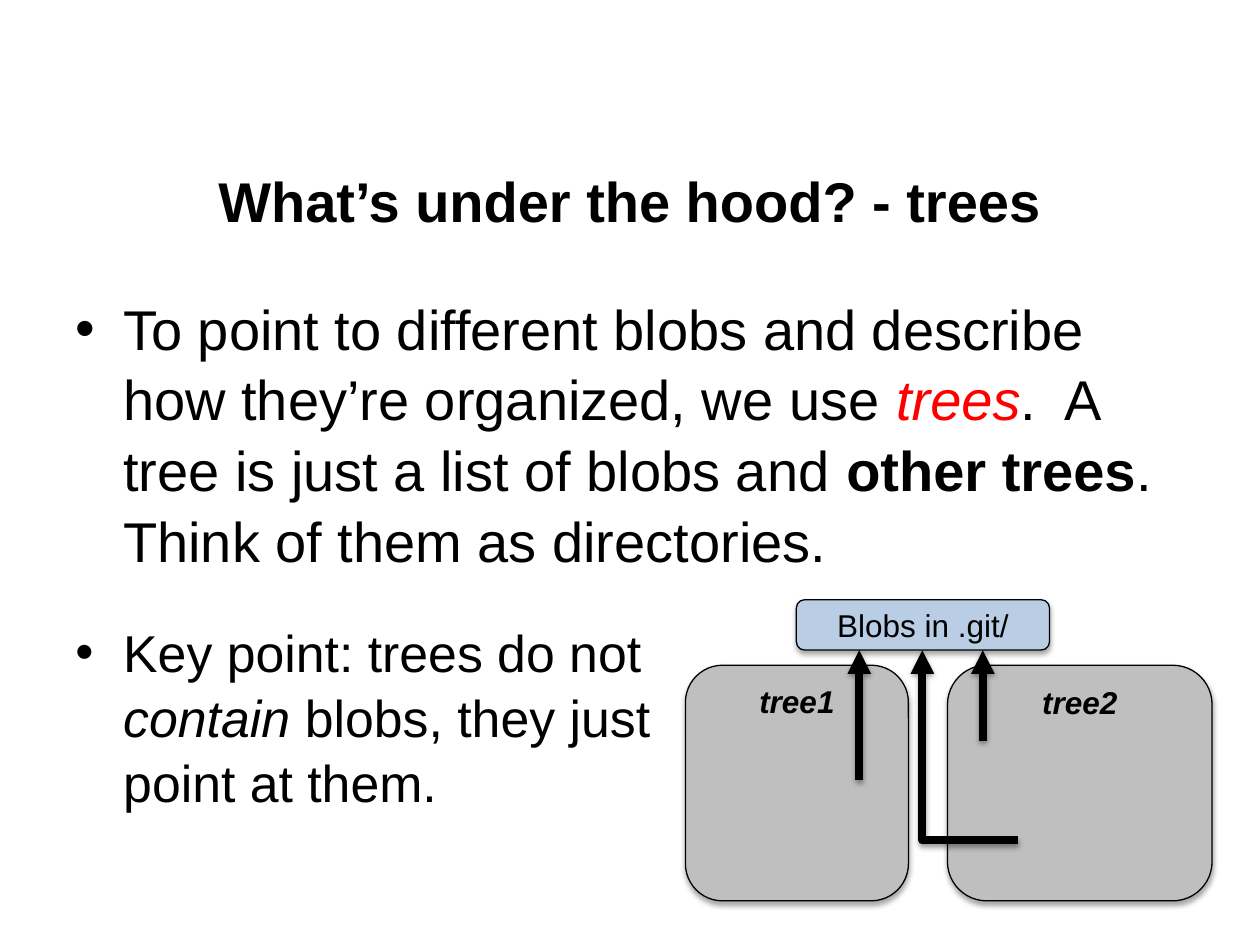
"""Build a slide on how git trees point at blobs."""
from dataclasses import dataclass

from lxml import etree
from pptx import Presentation
from pptx import util as u
from pptx.dml.color import RGBColor
from pptx.enum import shapes, text
from pptx.oxml.ns import qn


@dataclass(frozen=True)
class Theme:
    font: str = "Arial"
    ink: str = "000000"
    accent: str = "FF0000"
    tree_fill: str = "BFBFBF"
    store_fill: str = "B9CDE5"
    heading: float = 32
    key_point: float = 29.6
    label: float = 18
    outline: float = 0.75
    arrow: float = 4.5


class SlideBuilder:
    def __init__(self, slide, theme):
        self.slide = slide
        self.theme = theme

    def style(self, font, size, **flags):
        font.name = self.theme.font
        font.size = u.Pt(size)
        font.color.rgb = RGBColor.from_string(self.theme.ink)
        for flag, value in flags.items():
            setattr(font, flag, value)

    def shadow(self, item, opacity, distance):
        properties = item._element.spPr
        effects = etree.SubElement(properties, qn("a:effectLst"))
        outer = etree.SubElement(
            effects, qn("a:outerShdw"), blurRad=str(u.Pt(3.1)),
            dist=str(u.Pt(distance)), dir="5400000", rotWithShape="0")
        color = etree.SubElement(outer, qn("a:srgbClr"), val=self.theme.ink)
        etree.SubElement(color, qn("a:alpha"), val=str(opacity * 1000))

    def textbox(self, left, top, width, height):
        box = self.slide.shapes.add_textbox(*map(u.Inches, (left, top, width, height)))
        box.text_frame.word_wrap = True
        return box.text_frame

    def title(self, wording, *area):
        frame = self.textbox(*area)
        frame.vertical_anchor = text.MSO_ANCHOR.MIDDLE
        heading = frame.paragraphs[0]
        heading.text = wording
        heading.alignment = text.PP_ALIGN.CENTER
        self.style(heading.font, self.theme.heading, bold=True)

    def bullet(self, parts, size, *area):
        frame = self.textbox(*area)
        frame.margin_top = u.Inches(0.07)
        point = frame.paragraphs[0]
        point.line_spacing = 1.05
        indent = u.Inches(0.38)
        properties = point._p.get_or_add_pPr()
        properties.set("marL", str(indent))
        properties.set("indent", str(-indent))
        etree.SubElement(properties, qn("a:buFont"), typeface=self.theme.font)
        etree.SubElement(properties, qn("a:buChar"), char="•")
        self.style(point.font, size)
        for wording, flags, color in parts:
            run = point.add_run()
            run.text = wording
            self.style(run.font, size, **flags)
            run.font.color.rgb = RGBColor.from_string(color or self.theme.ink)

    def node(self, wording, fill, anchor, *area, **flags):
        box = self.slide.shapes.add_shape(
            shapes.MSO_SHAPE.ROUNDED_RECTANGLE, *map(u.Inches, area))
        box.fill.solid()
        box.fill.fore_color.rgb = RGBColor.from_string(fill)
        box.line.color.rgb = RGBColor.from_string(self.theme.ink)
        box.line.width = u.Pt(self.theme.outline)
        self.shadow(box, 35, 1.8)
        box.text_frame.vertical_anchor = anchor
        label = box.text_frame.paragraphs[0]
        label.text = wording
        label.alignment = text.PP_ALIGN.CENTER
        self.style(label.font, self.theme.label, **flags)

    def finish_arrow(self, arrow):
        arrow.line.color.rgb = RGBColor.from_string(self.theme.ink)
        arrow.line.width = u.Pt(self.theme.arrow)
        outline = arrow._element.spPr.find(qn("a:ln"))
        etree.SubElement(outline, qn("a:tailEnd"), type="triangle")
        self.shadow(arrow, 38, 1.6)

    def arrow(self, x, start, end):
        self.finish_arrow(self.slide.shapes.add_connector(
            shapes.MSO_CONNECTOR.STRAIGHT, *map(u.Inches, (x, start, x, end))))

    def corner_arrow(self, left, top, right, bottom):
        arrow = self.slide.shapes.add_connector(
            shapes.MSO_CONNECTOR.ELBOW, *map(u.Inches, (left, top, right, bottom)))
        properties = arrow._element.spPr
        properties.find(qn("a:prstGeom")).set("prst", "bentConnector2")
        properties.find(qn("a:xfrm")).set("rot", "10800000")
        self.finish_arrow(arrow)


def main():
    deck = Presentation()
    deck.slide_width, deck.slide_height = u.Inches(10), u.Inches(7.5)
    theme = Theme()
    page = SlideBuilder(deck.slides.add_slide(deck.slide_layouts[6]), theme)

    page.title("What’s under the hood? - trees", 0.5, 1.15, 9, 0.88)
    page.bullet([
        ("To point to different blobs and describe how they’re organized, we use ", {}, None),
        ("trees", {"italic": True}, theme.accent),
        (".  A tree is just a list of blobs and ", {}, None),
        ("other trees", {"bold": True}, None),
        (".  Think of them as directories.", {}, None),
    ], theme.heading, 0.5, 2.24, 9, 2.59)
    page.bullet([
        ("Key point: trees do not ", {}, None),
        ("contain", {"italic": True}, None),
        (" blobs, they just point at them.", {}, None),
    ], theme.key_point, 0.5, 4.83, 4.83, 1.86)

    for name, left, width in (("tree2", 7.52, 2.1), ("tree1", 5.44, 1.77)):
        page.node(name, theme.tree_fill, text.MSO_ANCHOR.TOP,
                  left, 5.28, width, 1.87, bold=True, italic=True)
    page.node("Blobs in .git/", theme.store_fill, text.MSO_ANCHOR.MIDDLE,
              6.32, 4.76, 2.01, 0.4)

    store_bottom = 5.16
    for x, start in ((6.82, 6.19), (7.8, 5.88)):
        page.arrow(x, start, store_bottom)
    page.corner_arrow(7.32, store_bottom, 8.08, 6.67)

    deck.save("out.pptx")


if __name__ == "__main__":
    main()
